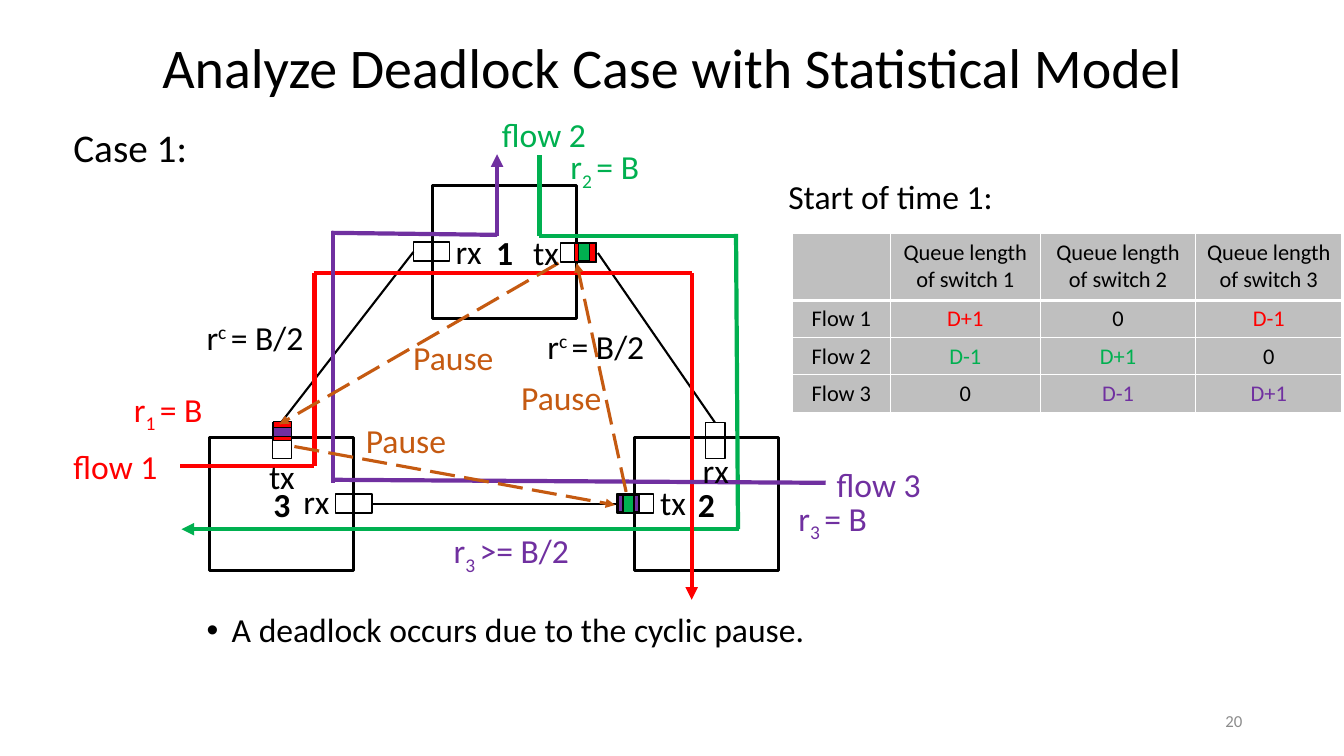
from lxml.etree import SubElement
from pptx import Presentation
from pptx.dml.color import RGBColor
from pptx.enum.dml import MSO_LINE
from pptx.enum.shapes import MSO_CONNECTOR, MSO_SHAPE
from pptx.enum.text import MSO_ANCHOR, MSO_AUTO_SIZE, PP_ALIGN
from pptx.oxml.ns import qn
from pptx.util import Pt

PX = 9144  # EMU per px, at 100 px to the inch
COLORS = {
    "black": "000000", "white": "FFFFFF", "cell": "BFBFBF", "number": "8C8C8C",
    "red": "FF0000", "green": "00B050", "purple": "7030A0", "pause": "C55A11",
}
RGB = {name: RGBColor.from_string(value) for name, value in COLORS.items()}


def write(frame, text, size=24, color="black", align=PP_ALIGN.LEFT, bold=False, baseline=0):
    """Fill the first paragraph; the part between bars is raised or lowered by baseline percent."""
    paragraph = frame.paragraphs[0]
    paragraph.alignment = align
    for index, part in enumerate(text.split("|")):
        run = paragraph.add_run()
        run.text = part
        run.font.name = "Calibri"
        run.font.size = Pt(size)
        run.font.bold = bold
        run.font.color.rgb = RGB[color]
        if index == 1:
            run._r.get_or_add_rPr().set("baseline", str(baseline * 1000))
    return paragraph


def draw_line(start, end, color="black", width=1.5, arrow=False, dash=None):
    ends = [value * PX for value in (*start, *end)]
    connector = slide.shapes.add_connector(MSO_CONNECTOR.STRAIGHT, *ends)
    connector.line.color.rgb = RGB[color]
    connector.line.width = Pt(width)
    if dash:
        connector.line.dash_style = dash
    if arrow:
        SubElement(connector.line._get_or_add_ln(), qn("a:tailEnd"), type="triangle")
    SubElement(connector._element.spPr, qn("a:effectLst"))


presentation = Presentation()
presentation.slide_width = 1333 * PX
presentation.slide_height = 750 * PX
slide = presentation.slides.add_slide(presentation.slide_layouts[5])

title = slide.shapes.title
title.left, title.top, title.width, title.height = [v * PX for v in (50, 27, 1233, 77)]
title.text_frame.auto_size = MSO_AUTO_SIZE.NONE
title.text_frame.vertical_anchor = MSO_ANCHOR.TOP
write(title.text_frame, "Analyze Deadlock Case with Statistical Model", 40, align=PP_ALIGN.CENTER)

# Switches, ports and queued packets: left, top, width, height, label, fill
switches = [
    (429, 184, 143, 132, "1", None),
    (629, 434, 143, 132, "2", None),
    (208, 434, 143, 132, "3", None),
]
flat_ports = [(left, top, 36, 19, "", None)
              for left, top in [(556, 241), (410, 240), (612, 490), (333, 490)]]
upright_ports = [(left, 419, 19, 36, "", None) for left in (270, 700)]
packets = [
    (271, 418, 18, 19, "", "red"),
    (271, 424, 18, 9, "", "purple"),
    (570, 241, 21, 19, "", "red"),
    (574, 241, 11, 18, "", "green"),
    (613, 491, 21, 17, "", "purple"),
    (618, 491, 11, 18, "", "green"),
]
for *box, label, fill in switches + flat_ports + upright_ports + packets:
    shape = slide.shapes.add_shape(MSO_SHAPE.RECTANGLE, *[v * PX for v in box])
    shape.shadow.inherit = False
    shape.line.color.rgb = RGB["black"]
    shape.line.width = Pt(2.25 if label else 1)
    if fill:
        shape.fill.solid()
        shape.fill.fore_color.rgb = RGB[fill]
    else:
        shape.fill.background()
    if label:
        shape.text_frame.vertical_anchor = MSO_ANCHOR.MIDDLE
        write(shape.text_frame, label, align=PP_ALIGN.CENTER, bold=True)

# Links between the switches
for start, end in [((410, 250), (279, 419)), ((593, 251), (709, 419)), ((369, 500), (613, 500))]:
    draw_line(start, end)

# Flows, as segments that meet at corners; the last segment of each has the arrow
flows = {
    "green": [((535, 154), (535, 234)), ((535, 234), (730, 234)),
              ((730, 232), (732, 525)), ((733, 525), (180, 525))],
    "red": [((179, 462), (311, 462)), ((312, 462), (312, 271)),
            ((311, 271), (686, 271)), ((686, 271), (686, 595))],
    "purple": [((819, 479), (330, 476)), ((330, 479), (330, 229)),
               ((329, 231), (493, 233)), ((493, 234), (493, 153))],
}
for color, segments in flows.items():
    for segment in segments:
        draw_line(*segment, color, 3, arrow=segment is segments[-1])

for start, end in [((292, 443), (610, 501)), ((621, 488), (572, 261)), ((554, 261), (277, 421))]:
    draw_line(start, end, "pause", 2.25, arrow=True, dash=MSO_LINE.LONG_DASH)

# Labels: text, left, top, width, format
labels = [
    ("Case 1:", 63, 117, 134, {"size": 28}),
    ("Start of time 1:", 772, 170, 225, {}),
    ("rx", 442, 224, 46, {}),
    ("tx", 519, 225, 46, {}),
    ("rx", 687, 441, 46, {}),
    ("tx", 645, 473, 46, {}),
    ("tx", 257, 447, 46, {}),
    ("rx", 291, 472, 46, {}),
    ("flow 1", 63, 437, 104, {"color": "red"}),
    ("flow 2", 488, 108, 104, {"color": "green"}),
    ("flow 3", 820, 455, 104, {"color": "purple"}),
    ("r|1 |= B", 123, 381, 91, {"color": "red", "baseline": -25}),
    ("r|2 |= B", 556, 140, 91, {"color": "green", "baseline": -25}),
    ("r|3 |= B", 782, 489, 91, {"color": "purple", "baseline": -25}),
    ("r|3 |>= B/2", 440, 521, 138, {"color": "purple", "baseline": -25}),
    ("r|c |= B/2", 195, 309, 119, {"baseline": 30}),
    ("r|c |= B/2", 533, 318, 119, {"baseline": 30}),
    ("Pause", 400, 329, 101, {"color": "pause"}),
    ("Pause", 353, 412, 101, {"color": "pause"}),
    ("Pause", 507, 369, 101, {"color": "pause"}),
]
for text, left, top, width, text_format in labels:
    height = 57 if "size" in text_format else 50
    label_box = slide.shapes.add_textbox(left * PX, top * PX, width * PX, height * PX)
    label_box.text_frame.word_wrap = False
    label_box.text_frame.auto_size = MSO_AUTO_SIZE.SHAPE_TO_FIT_TEXT
    write(label_box.text_frame, text, **text_format)

conclusion = slide.shapes.add_textbox(195 * PX, 604 * PX, 948 * PX, 73 * PX)
conclusion.text_frame.word_wrap = True
paragraph = write(conclusion.text_frame, "A deadlock occurs due to the cyclic pause.")
paragraph.line_spacing = 0.9
properties = paragraph._p.get_or_add_pPr()
properties.set("marL", str(25 * PX))
properties.set("indent", str(-25 * PX))
SubElement(properties, qn("a:buFont"), typeface="Arial")
SubElement(properties, qn("a:buChar"), char="•")

# Queue lengths
rows = [
    ["", "Queue length of switch 1", "Queue length of switch 2", "Queue length of switch 3"],
    ["Flow 1", "D+1", "0", "D-1"],
    ["Flow 2", "D-1", "D+1", "0"],
    ["Flow 3", "0", "D-1", "D+1"],
]
row_colors = ["black", "red", "green", "purple"]
table = slide.shapes.add_table(4, 4, 786 * PX, 232 * PX, 545 * PX, 177 * PX).table
for column, width in zip(table.columns, [97, 149, 154, 145]):
    column.width = width * PX
for row, height in zip(table.rows, [66, 37, 37, 37]):
    row.height = height * PX
for row_index, texts in enumerate(rows):
    for column_index, text in enumerate(texts):
        cell = table.cell(row_index, column_index)
        color = row_colors[row_index] if text.startswith("D") else "black"
        if text:
            write(cell.text_frame, text, 16, color, PP_ALIGN.CENTER)
        cell_properties = cell._tc.get_or_add_tcPr()
        for side in ("lnL", "lnR", "lnT", "lnB"):
            thick = (row_index, side) in [(0, "lnB"), (1, "lnT")]
            border = SubElement(cell_properties, qn(f"a:{side}"), w=str(Pt(3 if thick else 1)))
            border_fill = SubElement(border, qn("a:solidFill"))
            SubElement(border_fill, qn("a:srgbClr"), val=COLORS["white"])
        cell.fill.solid()
        cell.fill.fore_color.rgb = RGB["cell"]

slide_number = slide.shapes.add_textbox(942 * PX, 695 * PX, 300 * PX, 40 * PX)
slide_number.text_frame.word_wrap = True
slide_number.text_frame.vertical_anchor = MSO_ANCHOR.MIDDLE
write(slide_number.text_frame, "20", 12, "number", PP_ALIGN.RIGHT)

presentation.save("out.pptx")
